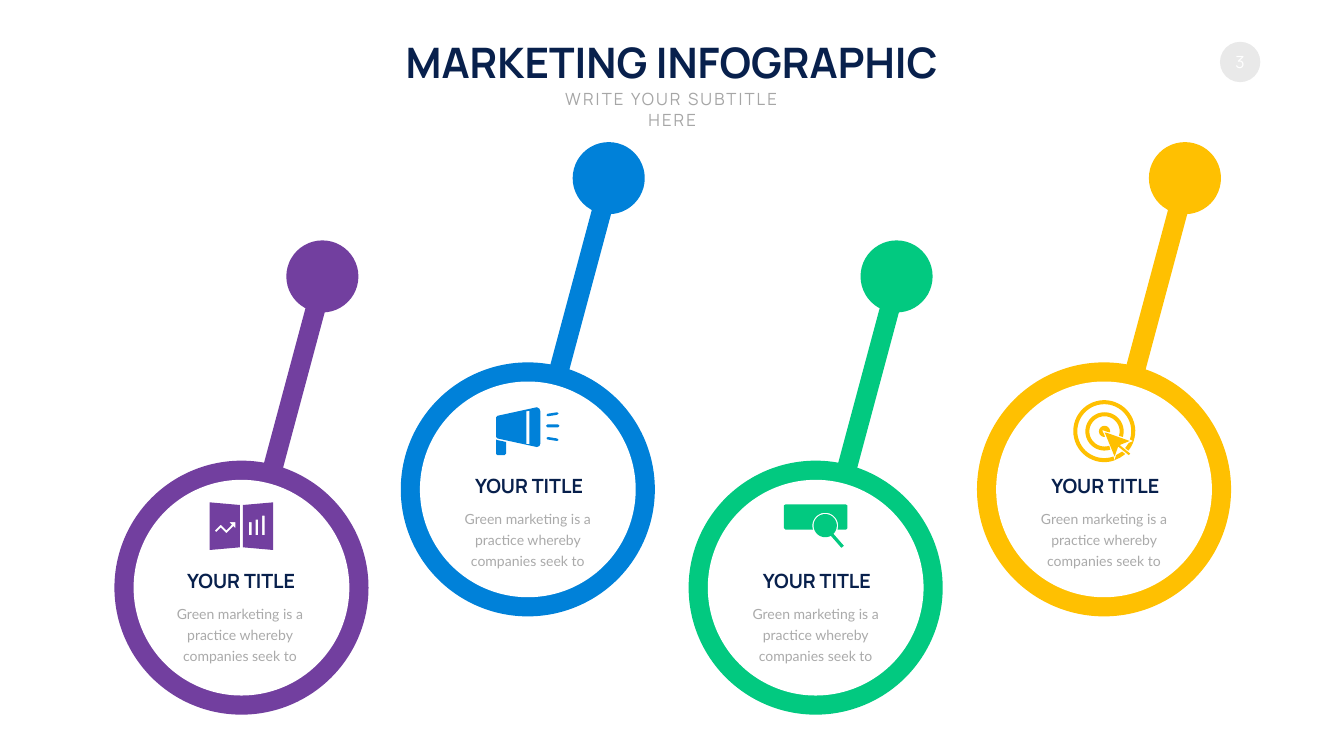
from math import cos, radians, sin

from pptx import Presentation
from pptx.dml.color import RGBColor
from pptx.enum.shapes import MSO_SHAPE
from pptx.enum.text import MSO_ANCHOR, MSO_AUTO_SIZE, PP_ALIGN
from pptx.util import Pt

OVAL, RECT = MSO_SHAPE.OVAL, MSO_SHAPE.RECTANGLE
TOP, MIDDLE = MSO_ANCHOR.TOP, MSO_ANCHOR.MIDDLE
CENTER = PP_ALIGN.CENTER
GROW = MSO_AUTO_SIZE.SHAPE_TO_FIT_TEXT

PX = 9144  # 100 px to the inch
FINE = 10  # freeform units per px, keeps arcs smooth

THEME = {
    "navy": "08204C", "white": "FFFFFF", "badge": "E9E9E9",
    "subtitle": "A6A6A6", "body": "AAAAAA",
    "purple": "723F9F", "green": "02C980", "blue": "0081D9", "yellow": "FFC001",
    "head_font": "Manrope", "body_font": "Lato",
    "title_pt": 60, "subtitle_pt": 24, "badge_pt": 24, "card_pt": 28, "body_pt": 20,
}

TITLE = "MARKETING INFOGRAPHIC"
SUBTITLE = "WRITE YOUR SUBTITLE HERE"
PAGE = "3"
CARD_TITLE = "YOUR TITLE"
CARD_BODY = "Green marketing is a practice whereby companies seek to"


def arc(cx, cy, r, start, end, steps=48):
    """Points along a circle, angles in degrees, clockwise from the right."""
    angles = [radians(start + (end - start) * i / steps) for i in range(steps + 1)]
    return [(cx + r * cos(a), cy + r * sin(a)) for a in angles]


def bar(left, top, right, bottom):
    return [(left, top), (right, top), (right, bottom), (left, bottom)]


# Each icon is a list of closed outlines in px; an outline inside another is a hole.
BROCHURE = [
    [(60, 5), (3, 0), (0, 0), (0, 94), (3, 94), (60, 89)],
    [(66, 5), (123, 0), (126, 0), (126, 94), (123, 94), (66, 89)],
    bar(104, 26, 109, 65), bar(91, 34, 96, 65), bar(78, 39, 83, 65),
    [(10, 56), (22, 44), (33, 55), (44, 44), (39, 39), (51, 39), (51, 51),
     (47, 47), (33, 61), (22, 50), (13, 59)],
]
MEGAPHONE = [
    [(0, 64), (2, 65), (20, 69), (20, 92), (17, 95), (3, 95), (0, 93)],
    [(103, 59), (121, 62), (124, 65), (121, 67), (102, 64), (100, 61)],
    [(102, 34), (123, 34), (126, 37), (123, 40), (102, 40), (99, 37)],
    [(121, 10), (124, 12), (121, 15), (103, 18), (100, 16), (102, 13)],
    [(66, 7), (60, 8), (60, 73), (66, 73)],
    [(81, 0), (86, 3), (88, 8), (88, 72), (86, 77), (81, 79), (3, 62),
     (0, 59), (0, 20), (3, 17)],
]
SEARCH = [
    arc(82, 42, 23, 61, 405) + [(119, 82), (114, 86)],
    [(3, 0), (123, 0), (126, 2), (126, 47), (123, 50)]
    + arc(82, 42, 25.5, 18, -198) + [(3, 50), (0, 47), (0, 2)],
]
TARGET = [
    [(97, 102), (103, 107), (93, 114), (82, 119), (85, 109)],
    [(62, 64), (67, 65), (112, 81), (92, 89), (113, 106), (110, 109),
     (89, 92), (82, 112), (64, 68)],
    arc(62, 62, 11, 90, 370) + [(68, 63), (57, 59), (63, 72)],
    arc(62, 62, 38, 72, 377) + arc(62, 62, 30, 377, 72),
    arc(61.5, 61.5, 61.5, 71, 399) + [(103, 95), (110, 85), (119, 81)]
    + arc(61.5, 61.5, 53.5, 378, 70),
]

# colour, ring left and top, icon, icon offset, card title offset
CARDS = [
    ("purple", 227, 914, BROCHURE, (189, 83), (133, 210)),
    ("green", 1366, 914, SEARCH, (189, 87), (136, 210)),
    ("blue", 795, 719, MEGAPHONE, (189, 89), (136, 217)),
    ("yellow", 1938, 719, TARGET, (191, 75), (136, 217)),
]


def rgb(name):
    return RGBColor.from_string(THEME[name])


def emu(*lengths):
    return [n * PX for n in lengths]


def paint(sp, color):
    sp.fill.solid()
    sp.fill.fore_color.rgb = rgb(color)
    sp.line.fill.background()
    sp.shadow.inherit = False


def add_shape(s, kind, box, color, rotation=0):
    sp = s.shapes.add_shape(kind, *emu(*box))
    paint(sp, color)
    sp.rotation = rotation
    return sp


def add_icon(s, outlines, left, top, color):
    builder = None
    for outline in outlines:
        first, *rest = [(x * FINE, y * FINE) for x, y in outline]
        if builder is None:
            builder = s.shapes.build_freeform(*first, scale=PX / FINE)
        else:
            builder.move_to(*first)
        builder.add_line_segments(rest, close=True)
    paint(builder.convert_to_shape(*emu(left, top)), color)


def set_text(sp, text, size, color, font="head_font", bold=False, wrap=True, anchor=TOP):
    tf = sp.text_frame
    tf.text = text
    tf.word_wrap = wrap
    tf.vertical_anchor = anchor
    p = tf.paragraphs[0]
    p.alignment = CENTER
    r = p.runs[0]
    r.font.name = THEME[font]
    r.font.size = Pt(THEME[size])
    r.font.bold = bold
    r.font.color.rgb = rgb(color)
    return p


def add_text(s, box, *args, **kwargs):
    sp = s.shapes.add_textbox(*emu(*box))
    p = set_text(sp, *args, **kwargs)
    sp.text_frame.auto_size = GROW
    return p


def add_header(s):
    title = s.shapes.title
    title.left, title.top, title.width, title.height = emu(771, 67, 1123, 111)
    set_text(title, TITLE, "title_pt", "navy", bold=True, wrap=False)
    title.text_frame.auto_size = GROW
    p = add_text(s, (1062, 172, 543, 50), SUBTITLE, "subtitle_pt", "subtitle")
    p.runs[0]._r.get_or_add_rPr().set("spc", "300")
    badge = add_shape(s, OVAL, (2420, 83, 80, 80), "badge")
    set_text(badge, PAGE, "badge_pt", "white", wrap=False, anchor=MIDDLE)


def add_card(s, color, x, y, icon, icon_offset, title_offset):
    add_shape(s, OVAL, (x, y, 504, 504), color)
    add_shape(s, OVAL, (x + 341, y - 437, 143, 143), color)
    add_shape(s, RECT, (x + 318, y - 321, 39, 497), color, rotation=15)
    add_shape(s, OVAL, (x + 38, y + 38, 428, 428), "white")
    add_icon(s, icon, x + icon_offset[0], y + icon_offset[1], color)
    left, top = x + title_offset[0], y + title_offset[1]
    add_text(s, (left, top, 237, 57), CARD_TITLE, "card_pt", "navy",
             bold=True, wrap=False, anchor=MIDDLE)
    p = add_text(s, (left - 22, top + 64, 276, 132), CARD_BODY, "body_pt", "body",
                 font="body_font")
    p.line_spacing = Pt(30)
    p.space_before = Pt(4)


def main():
    prs = Presentation()
    prs.slide_width, prs.slide_height = emu(2666, 1500)
    s = prs.slides.add_slide(prs.slide_layouts[5])
    add_header(s)
    for card in CARDS:
        add_card(s, *card)
    prs.save("out.pptx")


if __name__ == "__main__":
    main()
